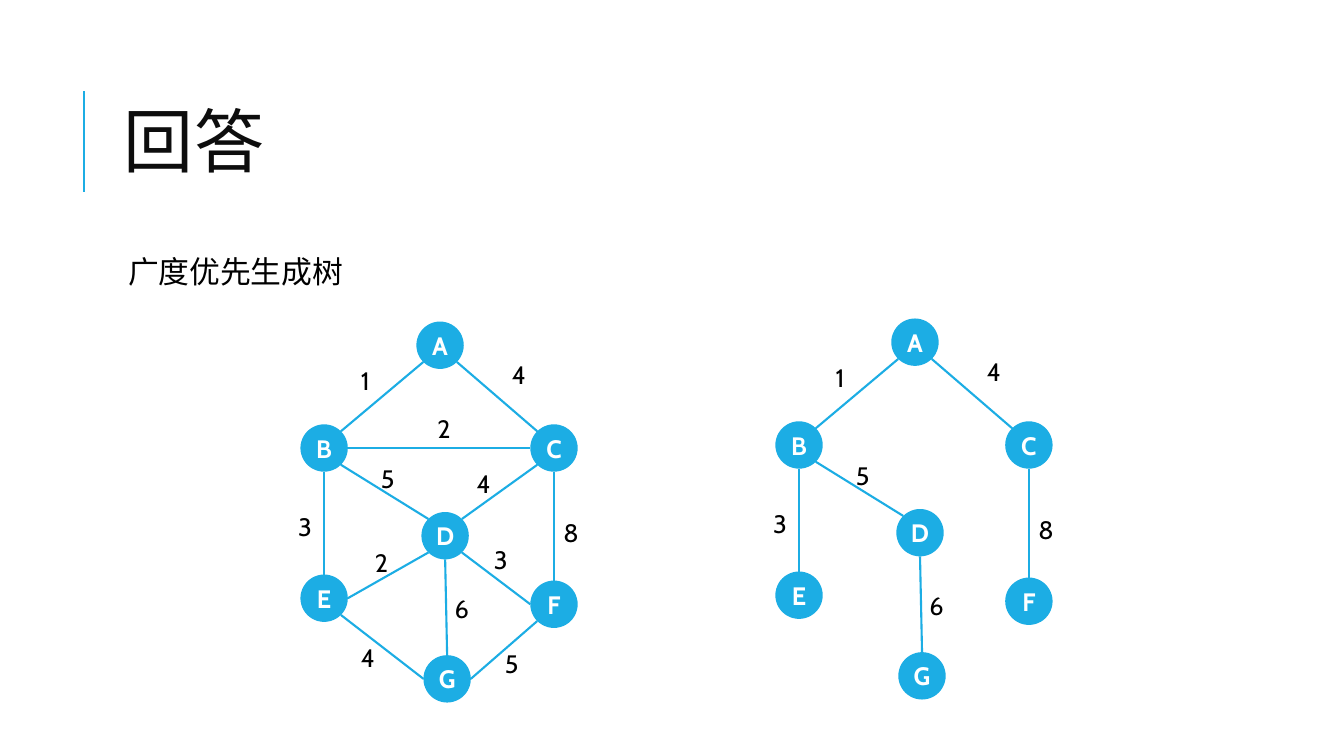
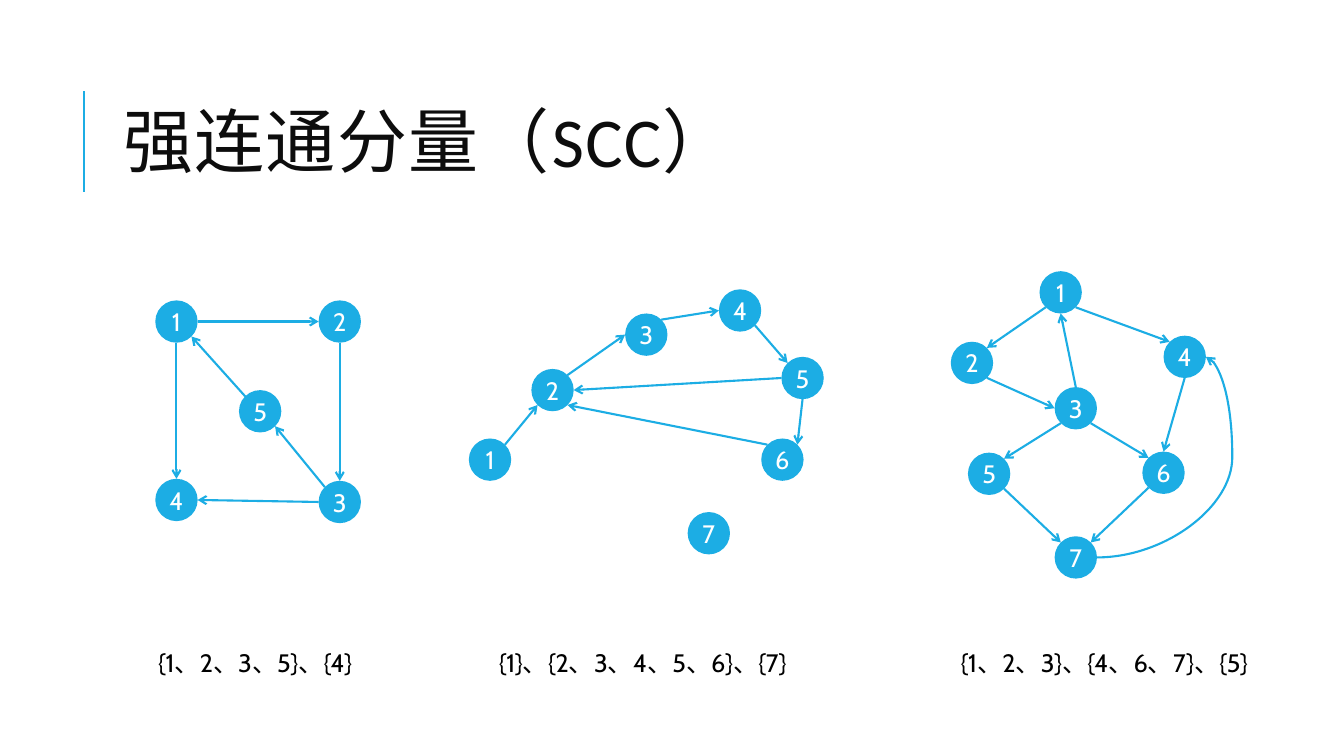
from math import cos, radians, sin

from lxml.etree import SubElement
from pptx import Presentation
from pptx.dml.color import RGBColor
from pptx.enum.shapes import MSO_CONNECTOR, MSO_SHAPE
from pptx.enum.text import MSO_ANCHOR, MSO_AUTO_SIZE, PP_ALIGN
from pptx.oxml.ns import qn
from pptx.util import Inches, Pt

COLORS = {"accent": "1CADE4", "title": "0D0D0D", "text": "000000", "white": "FFFFFF"}
TITLE_FONT, BODY_FONT = "Calibri", "Cabin"

# Connection sites of an ellipse, counterclockwise from the top
SITES = ["n", "nw", "w", "sw", "s", "se", "e", "ne"]

# Weighted graph: node corners, then (from, to, weight, label corner)
WEIGHTED_SIZE = 0.47
WEIGHTED_NODES = {
    "A": (4.13, 3.19), "B": (2.98, 4.21), "C": (5.26, 4.21), "D": (4.18, 5.08),
    "E": (2.98, 5.7), "F": (5.26, 5.76), "G": (4.2, 6.5),
}
WEIGHTED_EDGES = [
    ("A.sw", "B.ne", "1", (3.48, 3.58)),
    ("A.se", "C.nw", "4", (4.98, 3.52)),
    ("B.e", "C.w", "2", (4.24, 4.05)),
    ("B.se", "D.nw", "5", (3.68, 4.55)),
    ("C.sw", "D.ne", "4", (4.63, 4.6)),
    ("B.s", "E.n", "3", (2.86, 5.02)),
    ("D.sw", "E.e", "2", (3.62, 5.38)),
    ("D.se", "F.w", "3", (4.8, 5.35)),
    ("C.s", "F.n", "8", (5.49, 5.08)),
    ("E.se", "G.w", "4", (3.48, 6.32)),
    ("F.sw", "G.e", "5", (4.91, 6.38)),
    ("D.s", "G.n", "6", (4.41, 5.84)),
]
TREE_EDGES = {"AB", "AC", "BD", "BE", "CF", "DG"}
TREE_OFFSET = (4.71, -0.03)

# Directed graphs with their strongly connected components
DIRECTED_SIZE = 0.42
CAPTION_TOP = 6.37
DIRECTED_GRAPHS = [
    {
        "nodes": {"1": (1.54, 2.98), "2": (3.16, 2.98), "3": (3.16, 4.77),
                  "4": (1.54, 4.75), "5": (2.37, 3.87)},
        "edges": ["1.e 2.w", "2.s 3.n", "3.nw 5.se", "5.nw 1.se", "1.s 4.n", "3.w 4.e"],
        "caption": ("{1、2、3、5}、{4}", 1.47, 2.22),
    },
    {
        "nodes": {"1": (4.65, 4.35), "2": (5.27, 3.66), "3": (6.2, 3.11), "4": (7.13, 2.87),
                  "5": (7.75, 3.54), "6": (7.55, 4.35), "7": (6.82, 5.08)},
        "edges": ["1.ne 2.sw", "2.ne 3.w", "3.ne 4.w", "4.se 5.nw", "5.s 6.ne",
                  "5.w 2.e", "6.nw 2.se"],
        "caption": ("{1}、{2、3、4、5、6}、{7}", 4.85, 3.17),
    },
    {
        "nodes": {"1": (10.31, 2.69), "2": (9.43, 3.39), "3": (10.46, 3.84), "4": (11.54, 3.33),
                  "5": (9.6, 4.49), "6": (11.33, 4.48), "7": (10.46, 5.32)},
        "edges": ["1.sw 2.ne", "2.se 3.w", "3.n 1.s", "1.se 4.nw", "3.sw 5.ne", "3.se 6.nw",
                  "5.se 7.nw", "6.sw 7.ne", "4.s 6.n"],
        "curve": ("7.e", "4.e", 124300),
        "caption": ("{1、2、3}、{4、6、7}、{5}", 9.43, 3.17),
    },
]


def color(name):
    return RGBColor.from_string(COLORS[name])


def set_font(p, size, fill="text", name=BODY_FONT, bold=False):
    p.font.size, p.font.name, p.font.bold = Pt(size), name, bold
    p.font.color.rgb = color(fill)


def add_line(slide, start, end, kind=MSO_CONNECTOR.STRAIGHT, arrow=False):
    line = slide.shapes.add_connector(kind, *(Inches(v) for v in (*start, *end)))
    line.line.color.rgb = color("accent")
    line.line.width = Pt(1.5)
    if arrow:
        SubElement(line.line._get_or_add_ln(), qn("a:tailEnd"), type="arrow")
    SubElement(line._element.spPr, qn("a:effectLst"))
    return line


def add_text(slide, text, left, top, width, height=0.4, size=18, wrap=True):
    box = slide.shapes.add_textbox(*(Inches(v) for v in (left, top, width, height)))
    tf = box.text_frame
    tf.word_wrap = wrap
    tf.text = text
    set_font(tf.paragraphs[0], size)
    return tf


def add_titled_slide(prs, text):
    slide = prs.slides.add_slide(prs.slide_layouts[5])
    add_line(slide, (0.83, 1.9), (0.83, 0.9))
    title = slide.shapes.title
    title.left, title.top = Inches(1.12), Inches(0.64)
    title.width, title.height = Inches(10.63), Inches(1.64)
    tf = title.text_frame
    tf.text = text
    tf.auto_size = MSO_AUTO_SIZE.NONE
    tf.vertical_anchor = MSO_ANCHOR.MIDDLE
    p = tf.paragraphs[0]
    p.alignment, p.line_spacing = PP_ALIGN.LEFT, 0.8
    set_font(p, 50, "title", TITLE_FONT)
    p.runs[0]._r.get_or_add_rPr().set("spc", "100")
    return slide


def add_nodes(slide, nodes, size, bold=False):
    shapes = {}
    for name, (left, top) in nodes.items():
        sp = slide.shapes.add_shape(
            MSO_SHAPE.OVAL, *(Inches(v) for v in (left, top, size, size)))
        sp.shadow.inherit = False
        sp.fill.solid()
        sp.fill.fore_color.rgb = color("accent")
        sp.line.fill.background()
        tf = sp.text_frame
        tf.margin_left = tf.margin_right = tf.margin_top = tf.margin_bottom = 0
        tf.vertical_anchor = MSO_ANCHOR.MIDDLE
        tf.text = name
        p = tf.paragraphs[0]
        p.alignment = PP_ALIGN.CENTER
        set_font(p, 18, "white", bold=bold)
        shapes[name] = sp
    return shapes


def add_edge(slide, shapes, start, end, **options):
    """Join two nodes at sites such as 'A.sw' and glue the line to them."""
    ends = []
    for ref in (start, end):
        name, side = ref.split(".")
        sp, site = shapes[name], SITES.index(side)
        angle, radius = radians(90 + 45 * site), sp.width.inches / 2
        point = (sp.left.inches + radius * (1 + cos(angle)),
                 sp.top.inches + radius * (1 - sin(angle)))
        ends.append((sp, site, point))
    line = add_line(slide, ends[0][2], ends[1][2], **options)
    glue = line._element.find(".//" + qn("p:cNvCxnSpPr"))
    for tag, (sp, site, _) in zip(("a:stCxn", "a:endCxn"), ends):
        SubElement(glue, qn(tag), id=str(sp.shape_id), idx=str(site))
    return line


def add_weighted_graph(slide, edges, offset=(0, 0)):
    dx, dy = offset
    nodes = {name: (x + dx, y + dy) for name, (x, y) in WEIGHTED_NODES.items()}
    shapes = add_nodes(slide, nodes, WEIGHTED_SIZE, bold=True)
    for start, end, weight, (x, y) in edges:
        add_edge(slide, shapes, start, end)
        add_text(slide, weight, x + dx, y + dy, 0.34, wrap=False)


def add_directed_graph(slide, graph):
    shapes = add_nodes(slide, graph["nodes"], DIRECTED_SIZE)
    for edge in graph["edges"]:
        add_edge(slide, shapes, *edge.split(), arrow=True)
    if "curve" in graph:
        start, end, bend = graph["curve"]
        line = add_edge(slide, shapes, start, end, kind=MSO_CONNECTOR.CURVE, arrow=True)
        guides = line._element.spPr.find(qn("a:prstGeom")).get_or_add_avLst()
        SubElement(guides, qn("a:gd"), name="adj1", fmla=f"val {bend}")
    text, left, width = graph["caption"]
    add_text(slide, text, left, CAPTION_TOP, width)


def main():
    prs = Presentation()
    prs.slide_width, prs.slide_height = Inches(13.33), Inches(7.5)

    # Breadth-first spanning tree
    slide = add_titled_slide(prs, "回答")
    tf = add_text(slide, "广度优先生成树", 1.12, 2.5, 10.63, 0.5, size=22)
    tf.margin_left = Inches(0.15)
    tf.paragraphs[0].line_spacing = 0.9
    tree = [e for e in WEIGHTED_EDGES if e[0][0] + e[1][0] in TREE_EDGES]
    add_weighted_graph(slide, tree, TREE_OFFSET)
    add_weighted_graph(slide, WEIGHTED_EDGES)

    # Strongly connected components
    slide = add_titled_slide(prs, "强连通分量（SCC）")
    for graph in DIRECTED_GRAPHS:
        add_directed_graph(slide, graph)

    prs.save("out.pptx")


if __name__ == "__main__":
    main()
